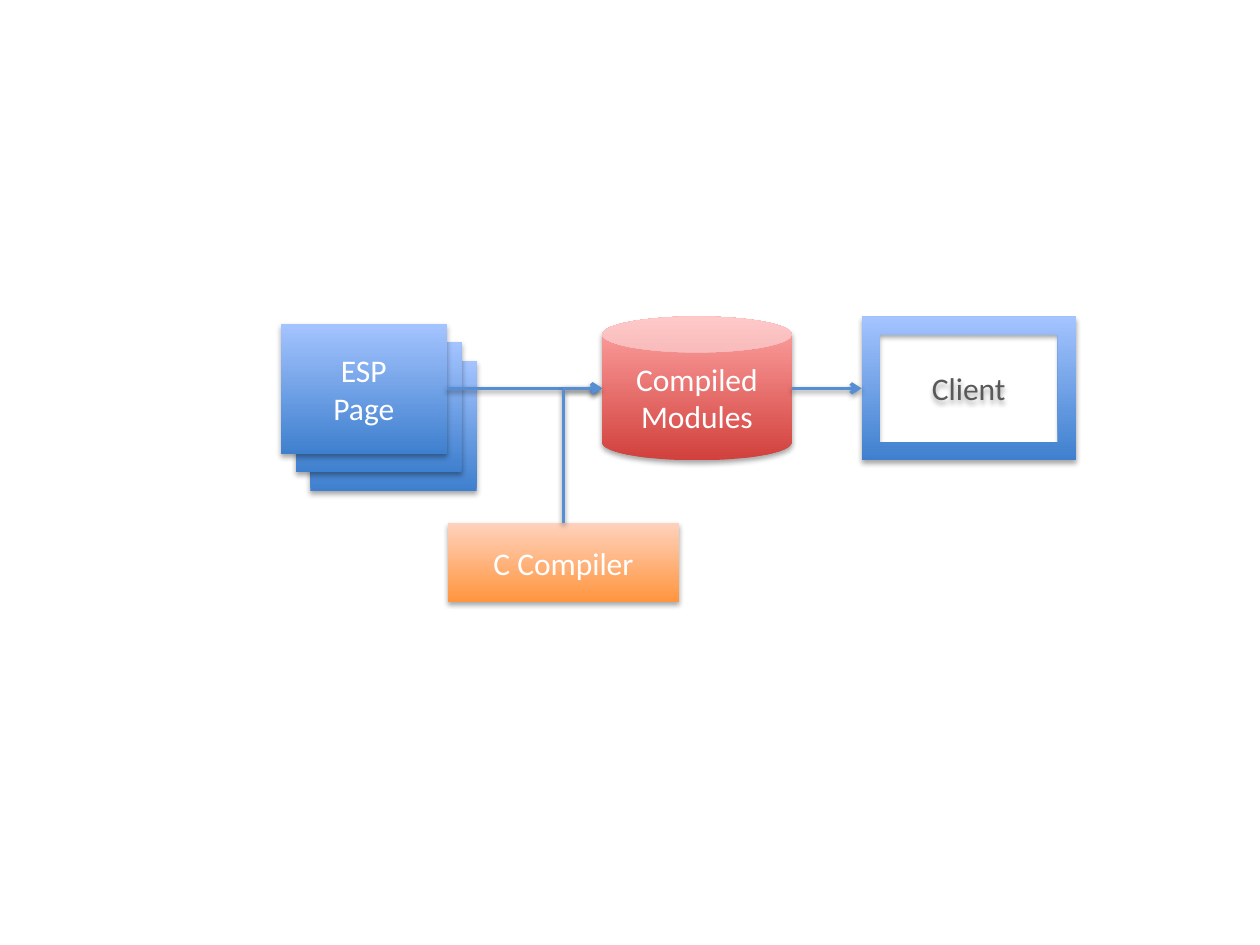
"""Build a flow diagram from ESP pages through compiled modules to the client."""
from lxml import etree
from pptx import Presentation
from pptx.dml.color import RGBColor
from pptx.enum.shapes import MSO_CONNECTOR, MSO_SHAPE
from pptx.enum.text import MSO_ANCHOR, PP_ALIGN
from pptx.oxml import parse_xml
from pptx.oxml.ns import qn
from pptx.util import Cm, Pt

BLUE = (RGBColor(0x3F, 0x80, 0xCE), RGBColor(0xA4, 0xC4, 0xFF))
RED = (RGBColor(0xD1, 0x40, 0x3C), RGBColor(0xFF, 0xA6, 0xA5))
ORANGE = (RGBColor(0xFF, 0x95, 0x3E), RGBColor(0xFF, 0xD2, 0xBD))
LINE = RGBColor(0x55, 0x8E, 0xD5)
WHITE = RGBColor(0xFF, 0xFF, 0xFF)
GRAY = RGBColor(0x59, 0x59, 0x59)
SHADOW = (
    '<a:effectLst xmlns:a="http://schemas.openxmlformats.org/drawingml/2006/main">'
    '<a:outerShdw blurRad="40000" dist="{}" dir="5400000" rotWithShape="0">'
    '<a:srgbClr val="000000"><a:alpha val="{}"/></a:srgbClr>'
    '</a:outerShdw></a:effectLst>'
)

prs = Presentation()
prs.slide_width, prs.slide_height = Cm(25.4), Cm(19.05)
shapes = prs.slides.add_slide(prs.slide_layouts[6]).shapes


def add_box(kind, left, top, width, height, colors, text="", color=WHITE):
    sp = shapes.add_shape(kind, Cm(left), Cm(top), Cm(width), Cm(height))
    sp.fill.gradient()
    sp.fill.gradient_angle = 90
    for stop, rgb in zip(sp.fill.gradient_stops, colors):
        stop.color.rgb = rgb
    for stop, position in zip(sp.fill.gradient_stops, (0, 1)):
        stop.position = position
    sp.line.fill.background()
    sp._element.spPr.append(parse_xml(SHADOW.format(23000, 35000)))
    tf = sp.text_frame
    tf.vertical_anchor = MSO_ANCHOR.MIDDLE
    tf.text = text
    for p in tf.paragraphs:
        p.alignment = PP_ALIGN.CENTER
        for r in p.runs:
            r.font.name, r.font.size = "Calibri", Pt(18)
            r.font.color.rgb = color


def add_arrow(x1, y1, x2, y2):
    arrow = shapes.add_connector(MSO_CONNECTOR.ELBOW, Cm(x1), Cm(y1), Cm(x2), Cm(y2))
    arrow.line.color.rgb = LINE
    arrow.line.width = Pt(2)
    etree.SubElement(arrow.line._get_or_add_ln(), qn("a:tailEnd"), type="arrow")
    arrow._element.spPr.append(parse_xml(SHADOW.format(20000, 38000)))
    return arrow


flow_y = 7.83
for layer, text in ((2, ""), (1, ""), (0, "ESP\vPage")):
    add_box(MSO_SHAPE.RECTANGLE, 5.66 + 0.3 * layer, 6.53 + 0.37 * layer,
            3.35, 2.62, BLUE, text)
add_arrow(9.01, flow_y, 12.14, flow_y)
add_box(MSO_SHAPE.CAN, 12.14, 6.38, 3.82, 2.9, RED, "Compiled\nModules")
add_box(MSO_SHAPE.FRAME, 17.37, 6.38, 4.32, 2.9, BLUE, "Client", GRAY)
add_arrow(15.96, flow_y, 17.37, flow_y)
add_box(MSO_SHAPE.RECTANGLE, 9.03, 10.54, 4.66, 1.6, ORANGE, "C Compiler")

start_x, start_y, end_x = 11.36, 10.54, 12.14
mid_x, mid_y = (start_x + end_x) / 2, (start_y + flow_y) / 2
half_w, half_h = (start_y - flow_y) / 2, (end_x - start_x) / 2
elbow = add_arrow(mid_x + half_w, mid_y + half_h, mid_x - half_w, mid_y - half_h)
elbow._element.spPr.find(qn("a:xfrm")).set("rot", "5400000")
elbow._element.spPr.find(qn("a:prstGeom")).set("prst", "bentConnector2")

prs.save("out.pptx")
